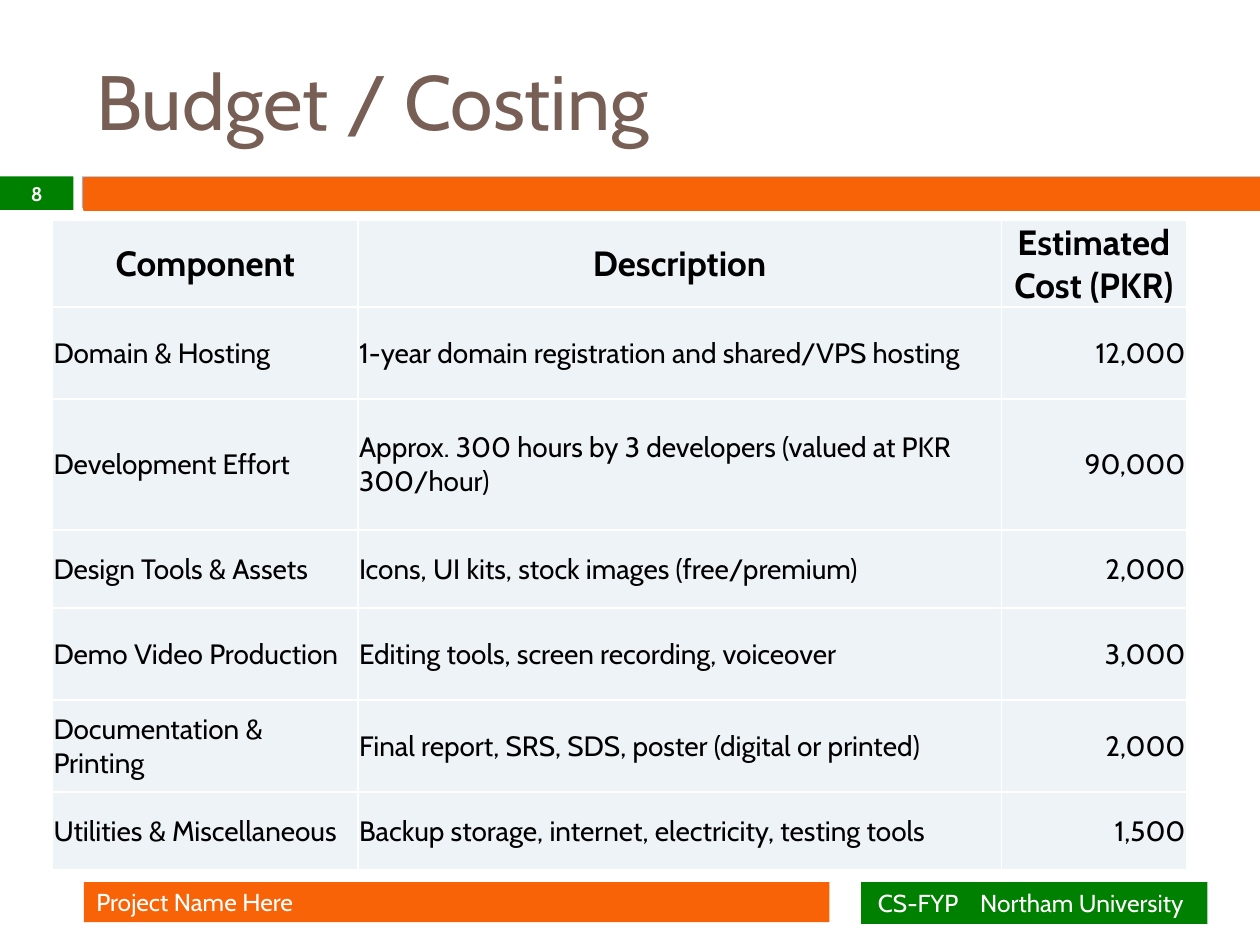
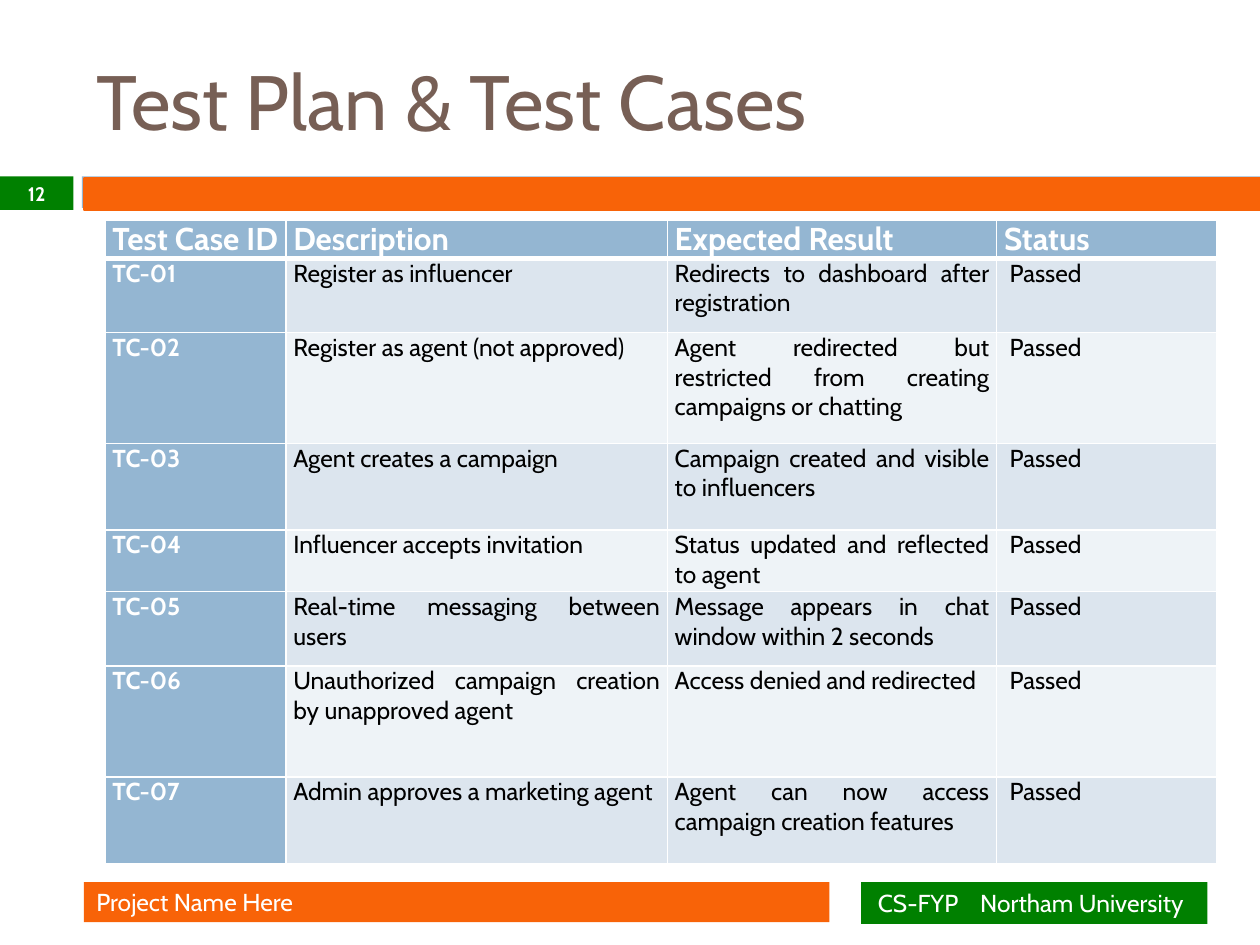
from collections.abc import Sequence
from dataclasses import dataclass

from lxml.etree import SubElement
from pptx import Presentation
from pptx.dml.color import RGBColor
from pptx.enum.shapes import MSO_SHAPE
from pptx.enum.text import MSO_ANCHOR, PP_ALIGN
from pptx.oxml.ns import qn
from pptx.util import Pt

FONT = "Cabin"
WHITE, BLACK, BROWN = "FFFFFF", "000000", "775F55"
ORANGE, GREEN, BLUE = "F86308", "008000", "94B6D2"
PALE, PALER = "EEF3F7", "DCE5EE"


@dataclass(frozen=True)
class Box:
    left: float
    top: float
    width: float
    height: float

    def points(self) -> list:
        return [Pt(side) for side in (self.left, self.top, self.width, self.height)]


@dataclass(frozen=True)
class TextStyle:
    size: float
    color: str
    bold: bool = False
    align: PP_ALIGN = PP_ALIGN.LEFT


@dataclass(frozen=True)
class CellStyle:
    text: TextStyle
    fill: str


@dataclass(frozen=True)
class Grid:
    left: float
    columns: Sequence[float]
    heights: Sequence[float]
    margins: Sequence[float]  # left, top, right, bottom
    anchor: MSO_ANCHOR
    header_rule: float
    rows: Sequence[Sequence[str]]


# Shared places and text styles
TITLE_BOX = Box(48, 18, 600, 78)
BAND_EDGE = Box(46.8, 100.8, 673.2, 18)
BAND = Box(48, 102, 672, 18)
NUMBER_BOX = Box(0, 100.8, 42, 19.2)
PROJECT_BOX = Box(48, 504, 426, 23)
SCHOOL_BOX = Box(492, 504, 198, 24)
SCHOOL_TAB = 58.5
TABLE_TOP = 126

TITLE_STYLE = TextStyle(44, BROWN)
FOOTER_STYLE = TextStyle(14, WHITE)
NUMBER_STYLE = TextStyle(11.2, WHITE, True, PP_ALIGN.CENTER)

BUDGET = Grid(
    30, (174.6, 367.6, 105.8), (49.4, 52.6, 74.8, 44.6, 52.6, 52.6, 44.6),
    (0.6, 0.6, 0.6, 0), MSO_ANCHOR.MIDDLE, 1,
    (
        ("Component", "Description", "Estimated Cost (PKR)"),
        ("Domain & Hosting", "1-year domain registration and shared/VPS hosting", "12,000"),
        ("Development Effort",
         "Approx. 300 hours by 3 developers (valued at PKR 300/hour)", "90,000"),
        ("Design Tools & Assets", "Icons, UI kits, stock images (free/premium)", "2,000"),
        ("Demo Video Production", "Editing tools, screen recording, voiceover", "3,000"),
        ("Documentation & Printing",
         "Final report, SRS, SDS, poster (digital or printed)", "2,000"),
        ("Utilities & Miscellaneous",
         "Backup storage, internet, electricity, testing tools", "1,500"),
    ),
)

CASES = (
    ("Register as influencer", "Redirects to dashboard after registration"),
    ("Register as agent (not approved)",
     "Agent redirected but restricted from creating campaigns or chatting"),
    ("Agent creates a campaign", "Campaign created and visible to influencers"),
    ("Influencer accepts invitation", "Status updated and reflected to agent"),
    ("Real-time messaging between users", "Message appears in chat window within 2 seconds"),
    ("Unauthorized campaign creation by unapproved agent", "Access denied and redirected"),
    ("Admin approves a marketing agent", "Agent can now access campaign creation features"),
)

TEST_PLAN = Grid(
    60, (103.4, 218, 188.2, 126), (21.6, 42.4, 63.4, 49.4, 35.4, 42.4, 63.4, 49.4),
    (4.2, 0, 4.2, 0), MSO_ANCHOR.TOP, 3,
    (
        ("Test Case ID", "Description", "Expected Result", "Status"),
        *((f"TC-{number:02}", case, result, " Passed")
          for number, (case, result) in enumerate(CASES, 1)),
    ),
)


def rgb(color: str) -> RGBColor:
    return RGBColor.from_string(color)


def write(frame, text: str, style: TextStyle) -> None:
    paragraph = frame.paragraphs[0]
    paragraph.alignment = style.align
    run = paragraph.add_run()
    run.text = text
    run.font.name = FONT
    run.font.size = Pt(style.size)
    run.font.bold = style.bold
    run.font.color.rgb = rgb(style.color)


def add_bar(slide, box: Box, color: str, line: float = 0):
    bar = slide.shapes.add_shape(MSO_SHAPE.RECTANGLE, *box.points())
    bar.shadow.inherit = False
    bar.fill.solid()
    bar.fill.fore_color.rgb = rgb(color)
    if line:
        bar.line.color.rgb = rgb(color)
        bar.line.width = Pt(line)
    else:
        bar.line.fill.background()
    return bar


def add_label(slide, box: Box, color: str, text: str, style: TextStyle):
    frame = add_bar(slide, box, color).text_frame
    frame.vertical_anchor = MSO_ANCHOR.MIDDLE
    write(frame, text, style)
    return frame


def add_borders(cell, bottom: float) -> None:
    properties = cell._tc.get_or_add_tcPr()
    for side, width in (("L", 1), ("R", 1), ("T", 1), ("B", bottom)):
        line = SubElement(properties, qn(f"a:ln{side}"), w=str(Pt(width)))
        fill = SubElement(line, qn("a:solidFill"))
        SubElement(fill, qn("a:srgbClr"), val=WHITE)


def add_grid(slide, grid: Grid, style_for) -> None:
    box = Box(grid.left, TABLE_TOP, sum(grid.columns), sum(grid.heights))
    table = slide.shapes.add_table(
        len(grid.rows), len(grid.columns), *box.points()).table
    table.first_row = table.horz_banding = False
    for column, width in zip(table.columns, grid.columns):
        column.width = Pt(width)
    for row, height in zip(table.rows, grid.heights):
        row.height = Pt(height)
    for r, texts in enumerate(grid.rows):
        for c, text in enumerate(texts):
            cell, style = table.cell(r, c), style_for(r, c)
            (cell.margin_left, cell.margin_top,
             cell.margin_right, cell.margin_bottom) = map(Pt, grid.margins)
            cell.vertical_anchor = grid.anchor
            add_borders(cell, grid.header_rule if r == 0 else 1)
            cell.fill.solid()
            cell.fill.fore_color.rgb = rgb(style.fill)
            write(cell.text_frame, text, style.text)


def budget_style(row: int, column: int) -> CellStyle:
    if row == 0:
        return CellStyle(TextStyle(20, BLACK, True, PP_ALIGN.CENTER), PALE)
    align = PP_ALIGN.RIGHT if column == 2 else PP_ALIGN.LEFT
    return CellStyle(TextStyle(16, BLACK, align=align), PALE)


def test_style(row: int, column: int) -> CellStyle:
    size = 18 if row == 0 else 14
    if row == 0 or column == 0:
        return CellStyle(TextStyle(size, WHITE, True, PP_ALIGN.JUSTIFY), BLUE)
    return CellStyle(TextStyle(size, BLACK, align=PP_ALIGN.JUSTIFY),
                     PALER if row % 2 else PALE)


def add_page(deck, title: str, number: int, grid: Grid, style_for) -> None:
    slide = deck.slides.add_slide(deck.slide_layouts[6])

    # Band and title
    add_bar(slide, BAND_EDGE, BLUE)
    add_bar(slide, BAND, ORANGE, 1.5)
    heading = slide.shapes.add_textbox(*TITLE_BOX.points()).text_frame
    heading.word_wrap = True
    heading.vertical_anchor = MSO_ANCHOR.MIDDLE
    write(heading, title, TITLE_STYLE)

    add_grid(slide, grid, style_for)

    # Footer and page number
    add_label(slide, PROJECT_BOX, ORANGE, "Project Name Here", FOOTER_STYLE)
    add_label(slide, NUMBER_BOX, GREEN, str(number), NUMBER_STYLE)
    school = add_label(slide, SCHOOL_BOX, GREEN, "CS-FYP\tNortham University", FOOTER_STYLE)
    school.margin_left, school.margin_right = Pt(9.6), Pt(0)
    stops = SubElement(school.paragraphs[0]._p.get_or_add_pPr(), qn("a:tabLst"))
    SubElement(stops, qn("a:tab"), pos=str(Pt(SCHOOL_TAB)), algn="l")


def main() -> None:
    deck = Presentation()
    deck.slide_width, deck.slide_height = Pt(720), Pt(540)
    add_page(deck, "Budget / Costing", 8, BUDGET, budget_style)
    add_page(deck, "Test Plan & Test Cases", 12, TEST_PLAN, test_style)
    deck.save("out.pptx")


if __name__ == "__main__":
    main()
